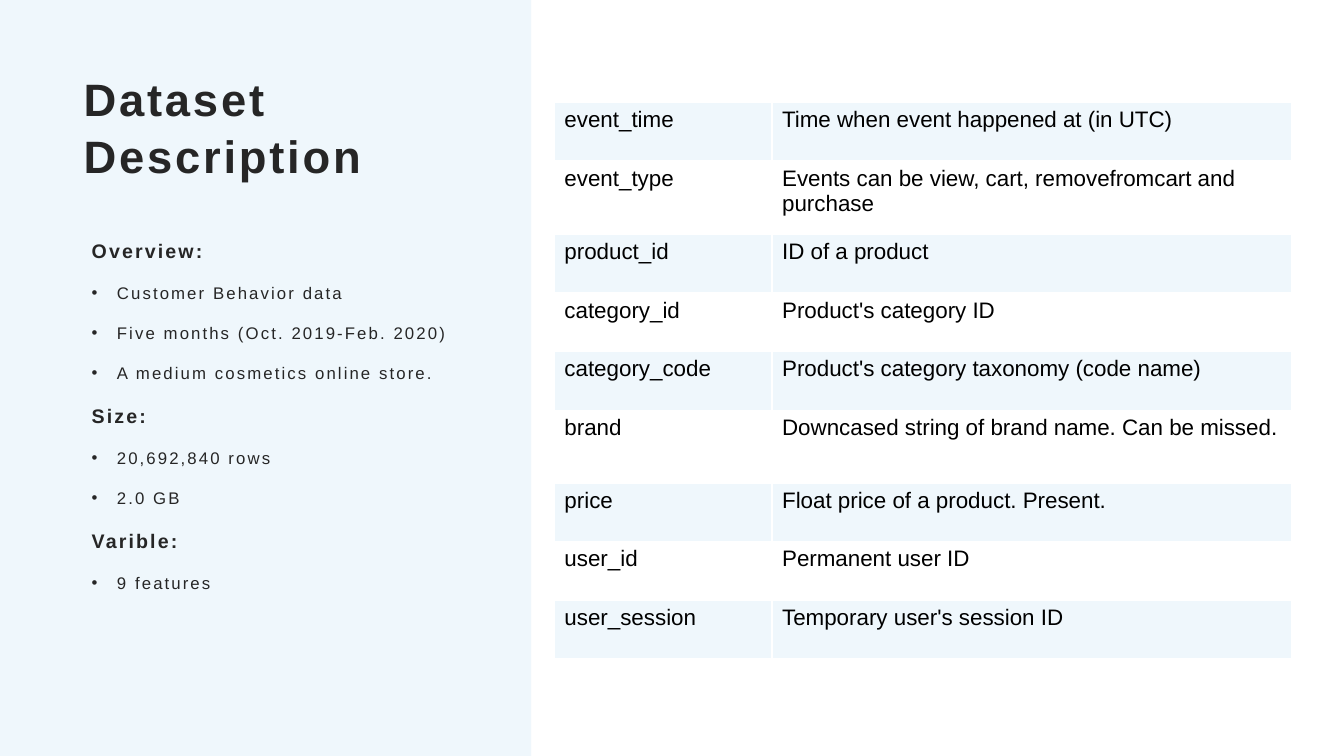
from dataclasses import dataclass

from lxml.etree import SubElement
from pptx import Presentation
from pptx.dml.color import RGBColor
from pptx.enum.shapes import MSO_SHAPE
from pptx.enum.text import MSO_ANCHOR
from pptx.oxml.ns import qn
from pptx.slide import Slide
from pptx.table import _Cell
from pptx.text.text import TextFrame, _Paragraph
from pptx.util import Pt

COLORS = {"panel": "EFF7FC", "white": "FFFFFF", "heading": "262626", "cell": "000000"}
FONT = "Arial"
COLUMN_WIDTHS = (155.5, 370.8)
ROW_HEIGHT = 41.9
TALL_ROW_HEIGHT = 52


@dataclass(frozen=True)
class Box:
    left: float
    top: float
    width: float
    height: float


@dataclass(frozen=True)
class Section:
    heading: str
    items: tuple[str, ...]


@dataclass(frozen=True)
class Feature:
    name: str
    description: str
    height: float = ROW_HEIGHT


PANEL = Box(-0.5, 0, 380, 540.5)
TITLE = Box(51.8, 55.4, 311.8, 69.1)
OVERVIEW = Box(57.6, 165.6, 289.4, 267.8)
TABLE = Box(396, 73.4, sum(COLUMN_WIDTHS), 397.3)

SECTIONS = (
    Section("Overview:", (
        "Customer Behavior data",
        "Five months (Oct. 2019-Feb. 2020)",
        "A medium cosmetics online store.",
    )),
    Section("Size:", ("20,692,840 rows", "2.0 GB")),
    Section("Varible:", ("9 features",)),
)

FEATURES = (
    Feature("event_time", "Time when event happened at (in UTC)"),
    Feature("event_type", "Events can be view, cart, removefromcart and purchase", TALL_ROW_HEIGHT),
    Feature("product_id", "ID of a product"),
    Feature("category_id", "Product's category ID"),
    Feature("category_code", "Product's category taxonomy (code name)"),
    Feature("brand", "Downcased string of brand name. Can be missed.", TALL_ROW_HEIGHT),
    Feature("price", "Float price of a product. Present."),
    Feature("user_id", "Permanent user ID"),
    Feature("user_session", "Temporary user's session ID"),
)


def color(name: str) -> RGBColor:
    return RGBColor.from_string(COLORS[name])


def lengths(box: Box) -> tuple[Pt, Pt, Pt, Pt]:
    return Pt(box.left), Pt(box.top), Pt(box.width), Pt(box.height)


def format_runs(paragraph: _Paragraph, size: float, color_name: str,
                bold: bool = False, spacing: float = 0) -> None:
    for run in paragraph.runs:
        run.font.name = FONT
        run.font.size = Pt(size)
        run.font.bold = bold
        run.font.color.rgb = color(color_name)
        if spacing:
            run._r.get_or_add_rPr().set("spc", str(round(spacing * 100)))


def add_panel(slide: Slide) -> None:
    panel = slide.shapes.add_shape(MSO_SHAPE.RECTANGLE, *lengths(PANEL))
    panel.shadow.inherit = False
    panel.fill.solid()
    panel.fill.fore_color.rgb = color("panel")
    panel.line.fill.background()


def add_text_frame(slide: Slide, box: Box, right: float, vertical: float) -> TextFrame:
    text_frame = slide.shapes.add_textbox(*lengths(box)).text_frame
    text_frame.word_wrap = True
    text_frame.margin_left, text_frame.margin_right = Pt(7.9), Pt(right)
    text_frame.margin_top = text_frame.margin_bottom = Pt(vertical)
    return text_frame


def add_title(slide: Slide) -> None:
    text_frame = add_text_frame(slide, TITLE, 5.8, 2.9)
    text_frame.vertical_anchor = MSO_ANCHOR.MIDDLE
    text_frame.text = "Dataset Description"
    paragraph = text_frame.paragraphs[0]
    paragraph.line_spacing = 1.05
    format_runs(paragraph, 32.4, "heading", bold=True, spacing=2)


def add_bullet(paragraph: _Paragraph) -> None:
    properties = paragraph._p.get_or_add_pPr()
    properties.set("marL", str(Pt(18)))
    properties.set("indent", str(Pt(-18)))
    SubElement(properties, qn("a:buFont")).set("typeface", FONT)
    SubElement(properties, qn("a:buChar")).set("char", "•")


def add_overview(slide: Slide) -> None:
    text_frame = add_text_frame(slide, OVERVIEW, 6.5, 0)
    lines = [(text, text == section.heading)
             for section in SECTIONS for text in (section.heading, *section.items)]
    text_frame.text = "\n".join(text for text, _ in lines)
    for paragraph, (_, is_heading) in zip(text_frame.paragraphs, lines):
        paragraph.line_spacing = 1.3
        paragraph.space_after = Pt(10)
        if not is_heading:
            add_bullet(paragraph)
        format_runs(paragraph, 14 if is_heading else 12, "heading", is_heading, 1.5)


def add_borders(cell: _Cell, top: float, bottom: float) -> None:
    properties = cell._tc.get_or_add_tcPr()
    widths = {"a:lnL": 1, "a:lnR": 1, "a:lnT": top, "a:lnB": bottom}
    for index, (tag, width) in enumerate(widths.items()):
        line = SubElement(properties, qn(tag), w=str(Pt(width)))
        fill = SubElement(line, qn("a:solidFill"))
        SubElement(fill, qn("a:srgbClr"), val=COLORS["white"])
        properties.insert(index, line)


def add_feature_table(slide: Slide) -> None:
    table = slide.shapes.add_table(len(FEATURES), len(COLUMN_WIDTHS), *lengths(TABLE)).table
    for column, width in zip(table.columns, COLUMN_WIDTHS):
        column.width = Pt(width)
    for index, (row, feature) in enumerate(zip(table.rows, FEATURES)):
        row.height = Pt(feature.height)
        for cell, text in zip(row.cells, (feature.name, feature.description)):
            cell.text_frame.text = text
            format_runs(cell.text_frame.paragraphs[0], 16, "cell")
            cell.fill.solid()
            cell.fill.fore_color.rgb = color("white" if index % 2 else "panel")
            add_borders(cell, 3 if index == 1 else 1, 3 if index == 0 else 1)


def main() -> None:
    presentation = Presentation()
    presentation.slide_width, presentation.slide_height = Pt(960), Pt(540)
    slide = presentation.slides.add_slide(presentation.slide_layouts[6])
    add_panel(slide)
    add_title(slide)
    add_overview(slide)
    add_feature_table(slide)
    presentation.save("out.pptx")


if __name__ == "__main__":
    main()
